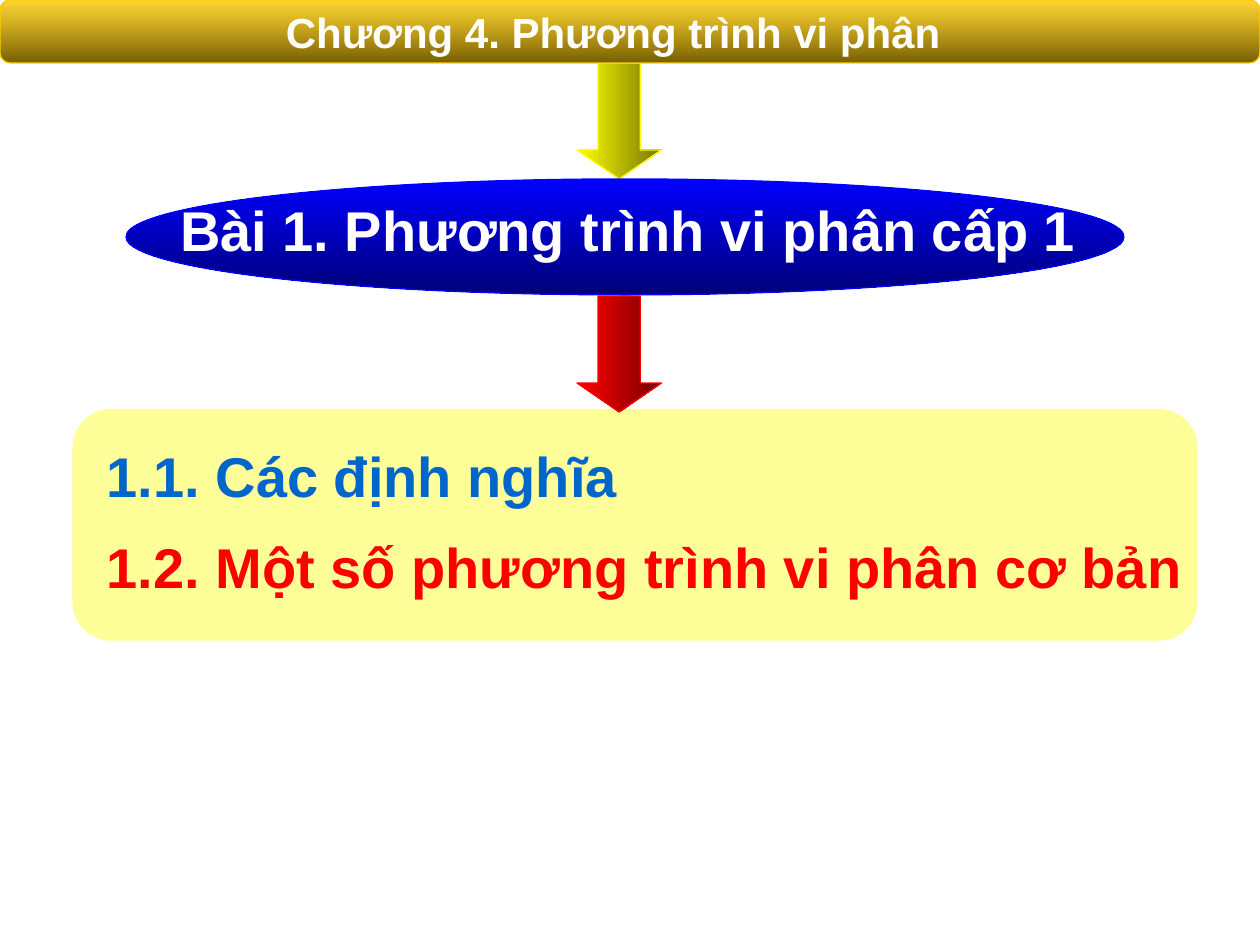
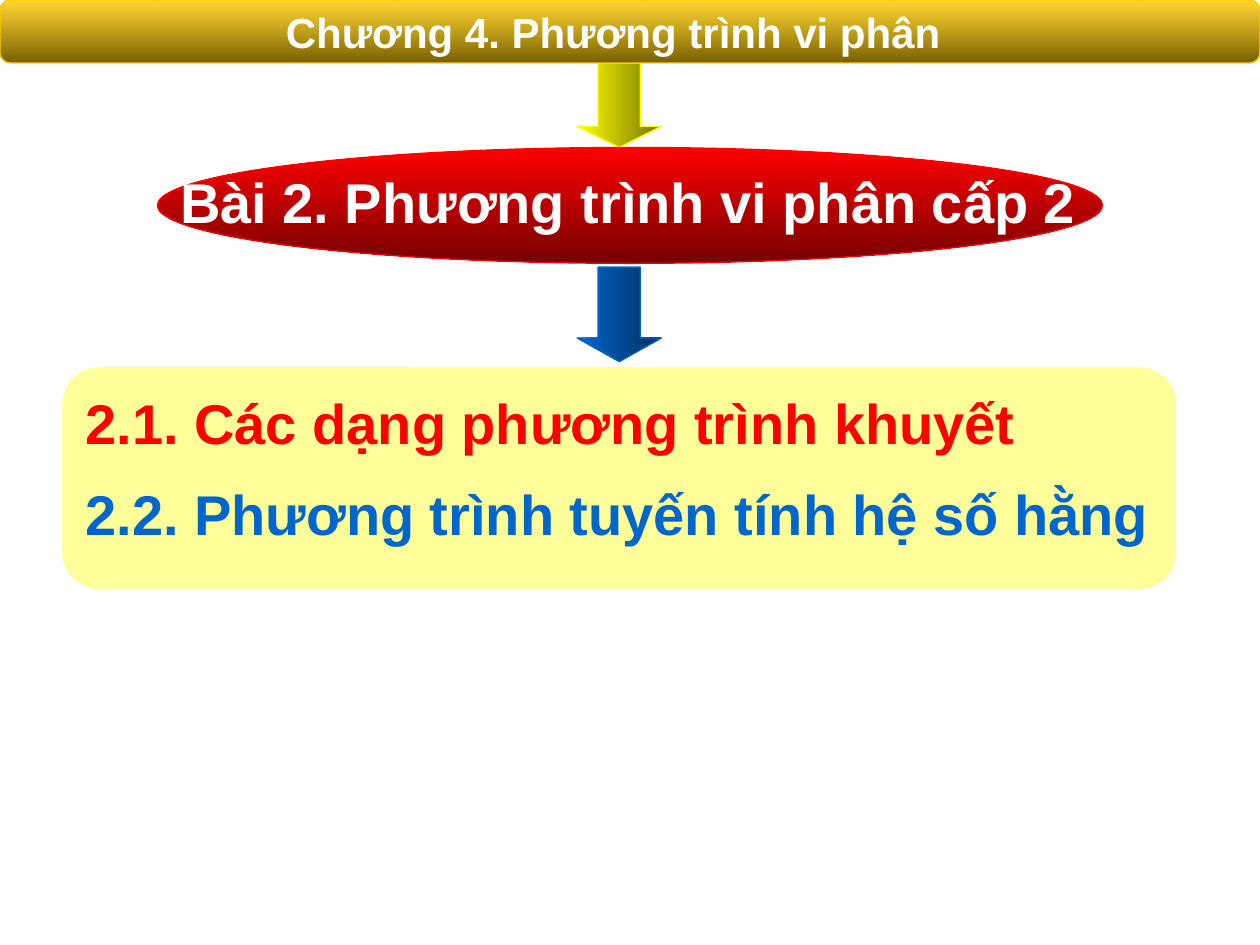
from dataclasses import dataclass

from lxml.etree import SubElement
from pptx import Presentation
from pptx.dml.color import RGBColor
from pptx.enum.shapes import MSO_SHAPE
from pptx.enum.text import MSO_ANCHOR, MSO_AUTO_SIZE, PP_ALIGN
from pptx.oxml.ns import qn
from pptx.util import Inches, Pt


@dataclass(frozen=True)
class Theme:
    font: str = "Arial"
    chapter_size: int = 24
    text_size: int = 32
    white: str = "FFFFFF"
    gold: str = "FFCC00"
    yellow: str = "FFFF00"
    cream: str = "FFFF99"
    red: str = "FF0000"
    navy: str = "0000FF"
    blue: str = "0066CC"


THEME = Theme()

# Content; boxes are left, top, width, height in inches
CHAPTER = "Chương 4. Phương trình vi phân"
LESSONS = [
    {
        "title": "Bài 1. Phương trình vi phân cấp 1",
        "title_top": 1.5,
        "oval": (1, 1.42, 7.92, 0.92),
        "oval_color": THEME.navy,
        "arrow": (2.35, 0.92),
        "arrow_color": THEME.red,
        "panel": (0.58, 3.25, 8.92, 1.83),
        "items_at": (0.75, 3.45),
        "items": [("1.1. Các định nghĩa", THEME.blue),
                  ("1.2. Một số phương trình vi phân cơ bản", THEME.red)],
    },
    {
        "title": "Bài 2. Phương trình vi phân cấp 2",
        "title_top": 1.28,
        "oval": (1.25, 1.17, 7.5, 0.92),
        "oval_color": THEME.red,
        "arrow": (2.12, 0.75),
        "arrow_color": THEME.blue,
        "panel": (0.5, 2.92, 8.83, 1.75),
        "items_at": (0.58, 3.03),
        "items": [("2.1. Các dạng phương trình khuyết", THEME.red),
                  ("2.2. Phương trình tuyến tính hệ số hằng", THEME.blue)],
    },
]

# Shared measures
SLIDE_W, SLIDE_H = 10, 7.5
BAND_H = 0.5
ARROW_X, ARROW_W = 4.58, 0.67
TITLE_X, TITLE_W = 1.33, 7.6
ITEM_W, ITEM_H, ITEM_STEP = 9, 0.64, 0.72
ACROSS, DOWN = 0, 270


def darken(color):
    return RGBColor(*(c * 118 // 255 for c in RGBColor.from_string(color)))


def add_shape(s, kind, box, color, angle=None, opacity=None):
    """Add a preset shape, solid or shading to a darker tone at an angle."""
    sp = s.shapes.add_shape(kind, *map(Inches, box))
    sp.shadow.inherit = False
    rgb = RGBColor.from_string(color)
    sp.line.color.rgb = rgb
    sp.line.width = Pt(0.75)
    if angle is None:
        sp.fill.solid()
        sp.fill.fore_color.rgb = rgb
        return sp
    sp.fill.gradient()
    sp.fill.gradient_angle = angle
    for stop, position, tone in zip(sp.fill.gradient_stops, (0, 1), (rgb, darken(color))):
        stop.position = position
        stop.color.rgb = tone
    if opacity is not None:
        first = next(sp.element.spPr.iter(qn("a:srgbClr")))
        SubElement(first, qn("a:alpha"), val=str(opacity * 1000))
    return sp


def add_arrow(s, top, height, color):
    """Add a down arrow whose head takes a quarter of its height."""
    sp = add_shape(s, MSO_SHAPE.DOWN_ARROW, (ARROW_X, top, ARROW_W, height), color, ACROSS)
    sp.adjustments[1] = height / 4 / ARROW_W


def set_text(sp, text, size, color, anchor=MSO_ANCHOR.TOP):
    tf = sp.text_frame
    tf.text = text
    tf.auto_size = MSO_AUTO_SIZE.NONE
    tf.word_wrap = True
    tf.vertical_anchor = anchor
    p = tf.paragraphs[0]
    p.alignment = PP_ALIGN.LEFT
    p.font.name = THEME.font
    p.font.size = Pt(size)
    p.font.bold = True
    p.font.color.rgb = RGBColor.from_string(color)


def add_text(s, box, *style, **options):
    set_text(s.shapes.add_textbox(*map(Inches, box)), *style, **options)


def place_title(s, text, top):
    """Move the title placeholder over the oval and in front of it."""
    sp = s.shapes.title
    sp.left, sp.top, sp.width, sp.height = map(Inches, (TITLE_X, top, TITLE_W, ITEM_H))
    set_text(sp, text, THEME.text_size, THEME.white)
    sp.element.getparent().append(sp.element)


def add_chapter_band(s):
    add_shape(s, MSO_SHAPE.FLOWCHART_ALTERNATE_PROCESS, (0, 0, SLIDE_W, BAND_H),
              THEME.gold, DOWN, opacity=80)
    add_text(s, (2.17, 0, 6.45, BAND_H), CHAPTER, THEME.chapter_size, THEME.white)


def build_lesson(prs, lesson):
    s = prs.slides.add_slide(prs.slide_layouts[5])

    # Panel, then the chain from chapter to lesson to panel
    add_shape(s, MSO_SHAPE.ROUNDED_RECTANGLE, lesson["panel"], THEME.cream)
    add_arrow(s, BAND_H, lesson["oval"][1] - BAND_H, THEME.yellow)
    add_shape(s, MSO_SHAPE.OVAL, lesson["oval"], lesson["oval_color"], DOWN)
    place_title(s, lesson["title"], lesson["title_top"])
    add_arrow(s, *lesson["arrow"], lesson["arrow_color"])
    add_chapter_band(s)

    # Sections of the lesson
    left, top = lesson["items_at"]
    for i, (text, color) in enumerate(lesson["items"]):
        add_text(s, (left, top + i * ITEM_STEP, ITEM_W, ITEM_H), text,
                 THEME.text_size, color, anchor=MSO_ANCHOR.MIDDLE)


def main():
    prs = Presentation()
    prs.slide_width, prs.slide_height = Inches(SLIDE_W), Inches(SLIDE_H)
    for lesson in LESSONS:
        build_lesson(prs, lesson)
    prs.save("out.pptx")


if __name__ == "__main__":
    main()
